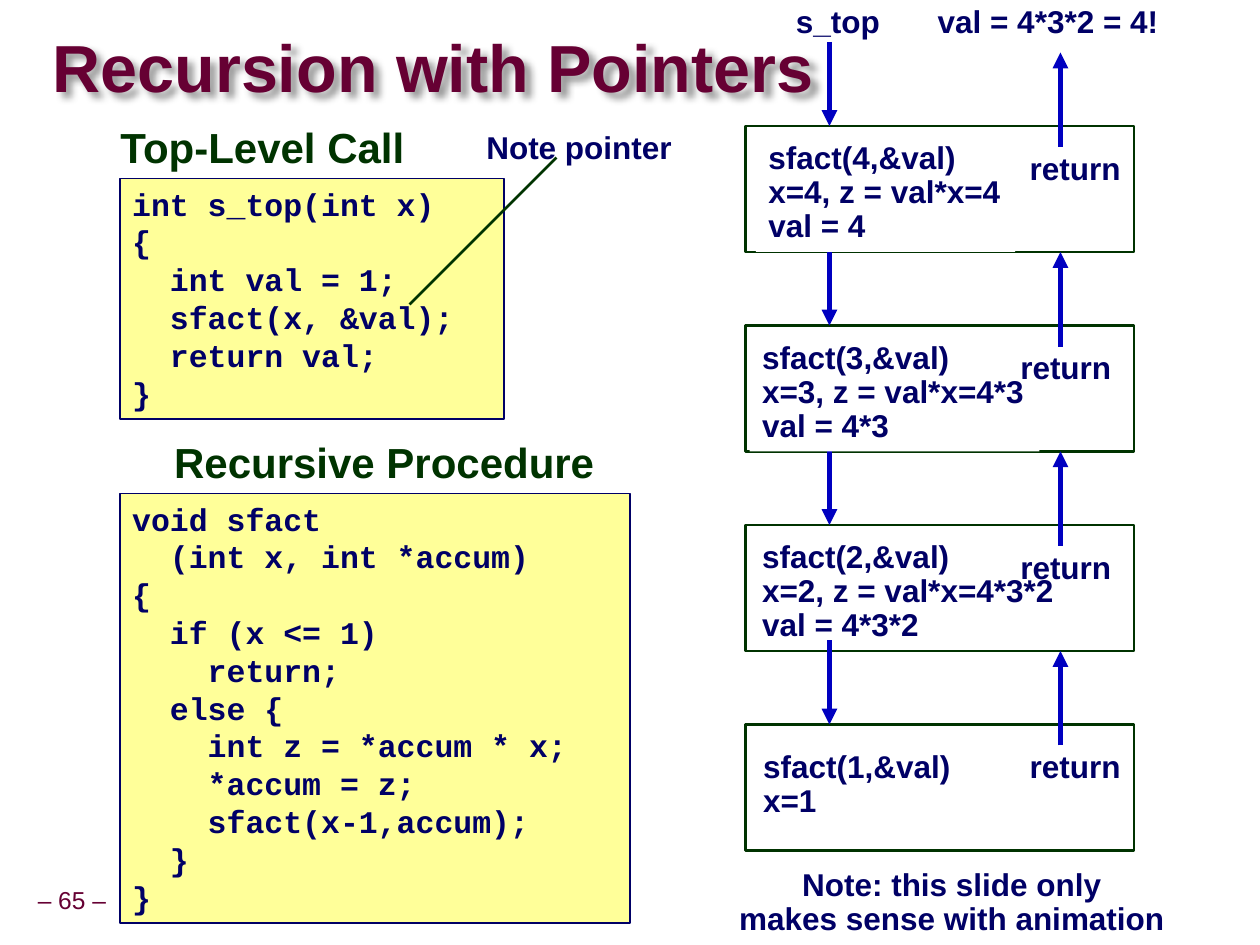
import pptx
import pptx.util
import pptx.dml.color
import pptx.enum.shapes
import pptx.enum.text
import pptx.oxml
import pptx.oxml.ns

THEME = {
    "maroon": "660033", "navy": "000066", "green": "003300", "arrow": "0000C0",
    "code_fill": "FFFF99", "white": "FFFFFF",
    "sans": "Arial", "mono": "Courier New",
    "title_size": 38, "heading_size": 24, "text_size": 18, "number_size": 14,
}
CELL = pptx.util.Inches(1 / 12)  # the slide is a grid of 120 columns by 90 rows
ALIGN = pptx.enum.text.PP_ALIGN
ANCHOR = pptx.enum.text.MSO_ANCHOR
FIT = pptx.enum.text.MSO_AUTO_SIZE
RECTANGLE = pptx.enum.shapes.MSO_SHAPE.RECTANGLE
A_NS = pptx.oxml.ns.nsdecls("a")

deck = pptx.Presentation()
deck.slide_width, deck.slide_height = 120 * CELL, 90 * CELL
slide = deck.slides.add_slide(deck.slide_layouts[5])
shapes = slide.shapes


def rgb(name):
    return pptx.dml.color.RGBColor.from_string(THEME[name])


def write(text, place, holder=None, size="text_size", color="navy", font="sans",
          bold=True, align=ALIGN.LEFT, spacing=0.9, anchor=ANCHOR.TOP,
          inset=(1.2, 0.6), wrap=False, fit=FIT.SHAPE_TO_FIT_TEXT,
          fill=None, line=None):
    """Put text, one paragraph a line, at a place (left, top, width, height in cells)."""
    box = [round(cells * CELL) for cells in place]
    if holder is None and fill:
        holder = shapes.add_shape(RECTANGLE, *box)
        holder.shadow.inherit = False
        holder.fill.solid()
        holder.fill.fore_color.rgb = rgb(fill)
        if line:
            holder.line.color.rgb = rgb(line)
            holder.line.width = pptx.util.Pt(1)
        else:
            holder.line.fill.background()
    elif holder is None:
        holder = shapes.add_textbox(*box)
    holder.left, holder.top, holder.width, holder.height = box

    frame = holder.text_frame
    frame.word_wrap, frame.auto_size, frame.vertical_anchor = wrap, fit, anchor
    frame.margin_left = frame.margin_right = round(inset[0] * CELL)
    frame.margin_top = frame.margin_bottom = round(inset[1] * CELL)
    frame.text = text
    for paragraph in frame.paragraphs:
        paragraph.alignment, paragraph.line_spacing = align, spacing
        for run in paragraph.runs:
            run.font.name, run.font.bold = THEME[font], bold
            run.font.size = pptx.util.Pt(THEME[size])
            run.font.color.rgb = rgb(color)
    return holder


def draw_line(start, end, color="arrow", width=3, arrow=True):
    points = [round(cells * CELL) for cells in (*start, *end)]
    connector = shapes.add_connector(
        pptx.enum.shapes.MSO_CONNECTOR.STRAIGHT, *points)
    connector.line.color.rgb = rgb(color)
    connector.line.width = pptx.util.Pt(width)
    if arrow:
        connector.line._get_or_add_ln().append(
            pptx.oxml.parse_xml(f'<a:tailEnd {A_NS} type="triangle"/>'))
    connector._element.spPr.append(pptx.oxml.parse_xml(f"<a:effectLst {A_NS}/>"))


# Title with its soft shadow, and the page number
title = write("Recursion with Pointers", (5, 3, 79.4, 7.6), holder=shapes.title,
              size="title_size", color="maroon", spacing=0.87,
              anchor=ANCHOR.MIDDLE, inset=(0, 0), wrap=True, fit=FIT.NONE)
title._element.spPr.append(pptx.oxml.parse_xml(
    f'<a:effectLst {A_NS}><a:outerShdw blurRad="50800" dist="50800" dir="2700000">'
    '<a:srgbClr val="000000"><a:alpha val="40000"/></a:srgbClr>'
    "</a:outerShdw></a:effectLst>"))
write("– 65 –", (2.9, 84, 7.9, 3.7), size="number_size", color="maroon",
      bold=False, align=ALIGN.CENTER, anchor=ANCHOR.MIDDLE, inset=(0.6, 0.6))

# Code listings under their headings
top_level_code = """int s_top(int x)
{
  int val = 1;
  sfact(x, &val);
  return val;
}"""
recursive_code = """void sfact
  (int x, int *accum)
{
  if (x <= 1)
    return;
  else {
    int z = *accum * x;
    *accum = z;
    sfact(x-1,accum);
  }
}"""
listings = [
    ("Top-Level Call", (10.3, 11, 29.8, 6), top_level_code, (11.4, 17, 36.6, 22.9)),
    ("Recursive Procedure", (15.4, 41, 42.5, 6), recursive_code, (11.4, 47, 48.6, 40.9)),
]
for heading, heading_place, code, code_place in listings:
    write(code, code_place, font="mono", spacing=1, wrap=True,
          fill="code_fill", line="navy")
    write(heading, heading_place, size="heading_size", color="green", spacing=1)

write("Note pointer", (45, 12, 20.3, 4.5), align=ALIGN.CENTER)
draw_line((53, 15), (39, 29), color="green", width=1.5, arrow=False)

# Chain of calls: frame, arrow down into it, arrow up out of it, state, return
FRAME_LEFT, FRAME_WIDTH, FRAME_HEIGHT = 71, 37, 12
FIRST_TOP, PITCH = 12, 19
CALL_COLUMN, RETURN_COLUMN = 79, 101
calls = [
    ("sfact(4,&val)\nx=4, z = val*x=4\nval = 4", 72, 24.7, 11, "white", 96.8),
    ("sfact(3,&val)\nx=3, z = val*x=4*3\nval = 4*3", 71.4, 27.6, 11, "white", 95.9),
    ("sfact(2,&val)\nx=2, z = val*x=4*3*2\nval = 4*3*2", 71.4, 31.7, 11, None, 95.9),
    ("sfact(1,&val)\nx=1", 71.5, 20.4, 7.8, None, 96.8),
]
tops = [FIRST_TOP + PITCH * depth for depth in range(len(calls))]
for top in tops:
    frame_box = shapes.add_shape(RECTANGLE, FRAME_LEFT * CELL, top * CELL,
                                 FRAME_WIDTH * CELL, FRAME_HEIGHT * CELL)
    frame_box.shadow.inherit = False
    frame_box.fill.background()
    frame_box.line.color.rgb = rgb("green")
    frame_box.line.width = pptx.util.Pt(1.5)
    draw_line((CALL_COLUMN, top - 8), (CALL_COLUMN, top))
    draw_line((RETURN_COLUMN, top + 2), (RETURN_COLUMN, top - 7))
for top, (state, left, width, height, fill, return_left) in zip(tops, calls):
    write(state, (left, top + (1 if fill else 1.5) if top == FIRST_TOP else top + 1 if height == 11 else top + 2,
                  width, height), fill=fill)
    write("return", (return_left, top + 2, 11.2, 4.5), align=ALIGN.CENTER)

# Labels at the ends of the chain
for label, place in [
    ("s_top", (74.5, 0, 10.6, 4.5)),
    ("val = 4*3*2 = 4!", (88, 0, 23.6, 4.5)),
    ("Note: this slide only\nmakes sense with animation", (69, 82.2, 43.3, 7.8)),
]:
    write(label, place, align=ALIGN.CENTER)

deck.save("out.pptx")
